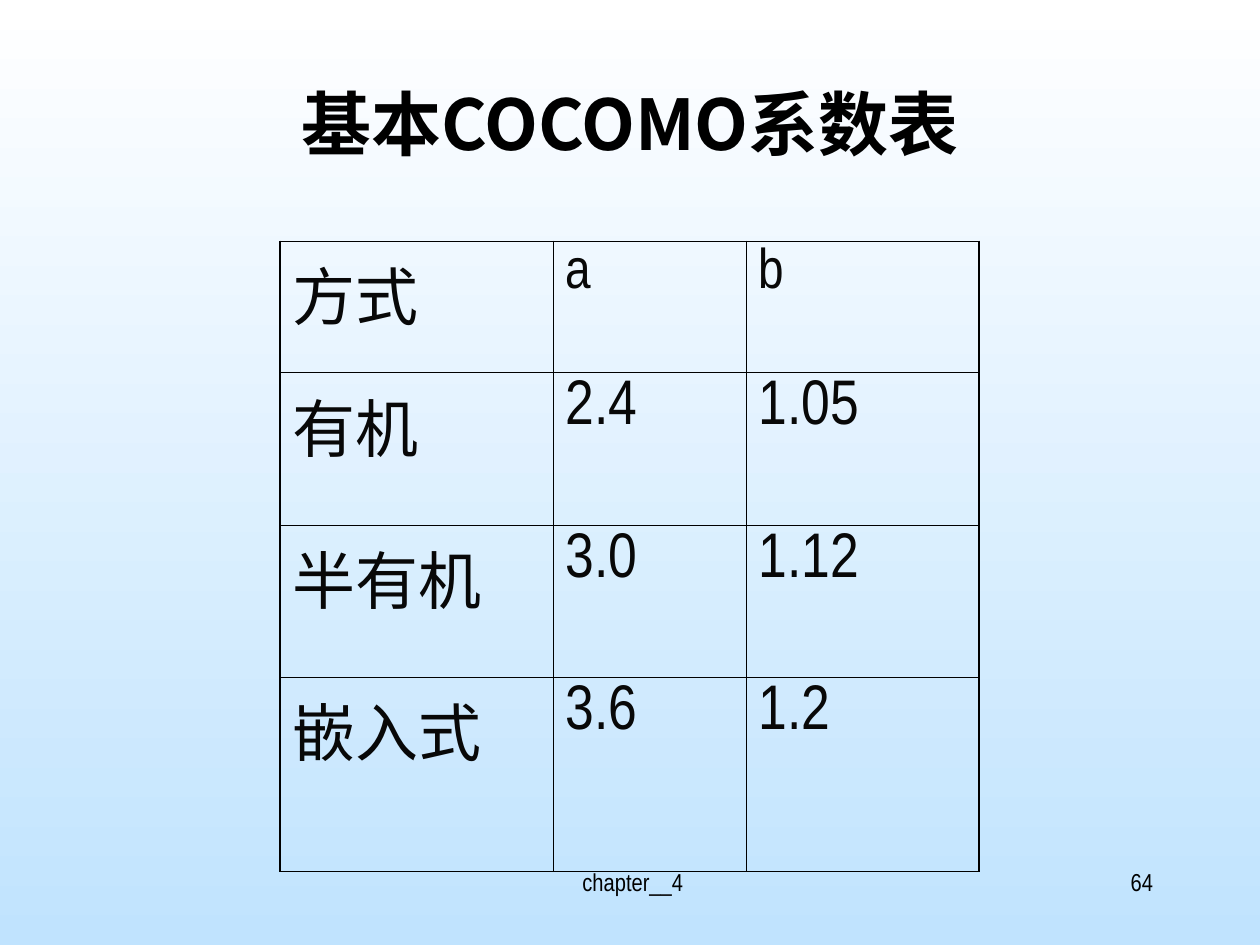
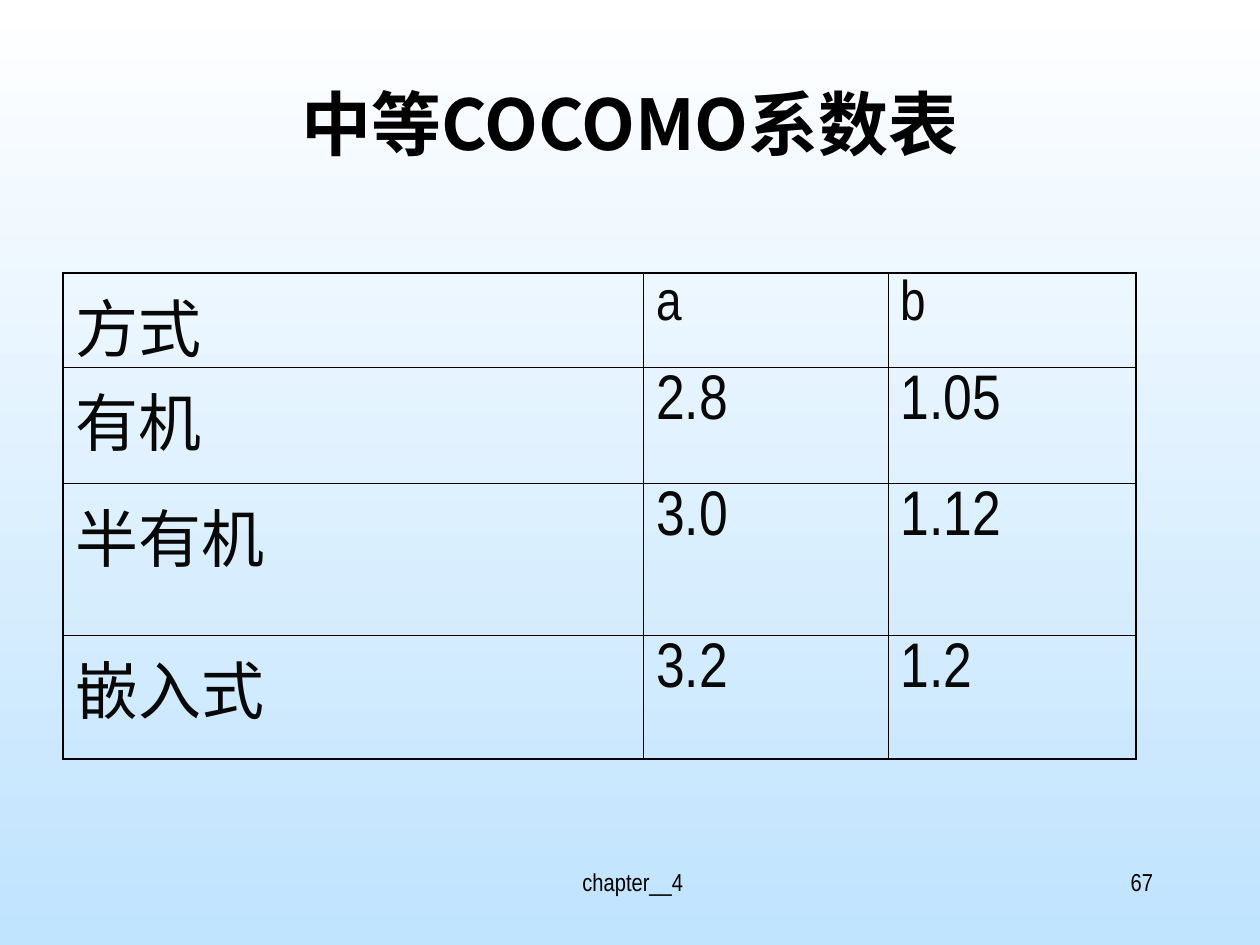
from lxml import etree
from pptx import Presentation
from pptx.dml.color import RGBColor
from pptx.enum.text import MSO_ANCHOR, PP_ALIGN
from pptx.oxml.ns import qn
from pptx.util import Inches, Pt

LEFT, CENTER, RIGHT = PP_ALIGN.LEFT, PP_ALIGN.CENTER, PP_ALIGN.RIGHT
TOP = MSO_ANCHOR.TOP

# Shared style
BLACK, INK, SKY, WHITE = "000000", "080808", "C0E3FE", "FFFFFF"
BODY_FONT, CHINESE_FONT = "Arial Narrow", "Noto Sans CJK SC"
OUTER_LINE, INNER_LINE = Pt(1.08), Pt(0.45)
TITLE_FORMAT = {"name": CHINESE_FONT, "size": Pt(40), "bold": True}
FOOTER_FORMAT = {"name": BODY_FONT, "size": Pt(14)}

# Grid of 120 columns by 90 rows
UNIT = Inches(10) / 120
TITLE_BOX = (9, 8, 102, 15)
CHAPTER_BOX = (41, 82, 38, 6)
NUMBER_BOX = (86, 82, 25, 6)

# Slide content: a and b coefficients for each mode
MODES = ["方式", "有机", "半有机", "嵌入式"]
B_VALUES = ["b", "1.05", "1.12", "1.2"]
SLIDES = [
    {"title": "基本COCOMO系数表", "number": "64", "a": ["a", "2.4", "3.0", "3.6"],
     "corner": (26.67, 23), "widths": (26, 18.4, 22.2), "heights": (12.5, 14.5, 14.5, 18.5)},
    {"title": "中等COCOMO系数表", "number": "67", "a": ["a", "2.8", "3.0", "3.2"],
     "corner": (6, 26), "widths": (55.3, 23.3, 23.6), "heights": (9, 11, 14.5, 11.8)},
]


def color(hex_string):
    return RGBColor.from_string(hex_string)


def write(text_frame, text, alignment, text_color, font_format):
    text_frame.word_wrap = True
    paragraph = text_frame.paragraphs[0]
    paragraph.alignment = alignment
    run = paragraph.add_run()
    run.text = text
    for name, value in font_format.items():
        setattr(run.font, name, value)
    run.font.color.rgb = color(text_color)
    east_asian = etree.SubElement(run.font._element, qn("a:ea"))
    east_asian.set("typeface", CHINESE_FONT)


presentation = Presentation()
presentation.slide_width, presentation.slide_height = Inches(10), Inches(7.5)

# Gradient background on the master
background = presentation.slide_master.background.fill
background.gradient()
background.gradient_angle = 270
for stop, stop_color in zip(background.gradient_stops, (WHITE, SKY)):
    stop.color.rgb = color(stop_color)

for content in SLIDES:
    slide = presentation.slides.add_slide(presentation.slide_layouts[5])

    # Title
    title = slide.shapes.title
    title.left, title.top, title.width, title.height = [int(n * UNIT) for n in TITLE_BOX]
    title.text_frame.vertical_anchor = TOP
    write(title.text_frame, content["title"], CENTER, BLACK, TITLE_FORMAT)
    title.text_frame.paragraphs[0].line_spacing = 0.9

    # Footer
    for box, text, alignment in ((CHAPTER_BOX, " chapter__4", CENTER),
                                 (NUMBER_BOX, content["number"], RIGHT)):
        footer = slide.shapes.add_textbox(*[int(n * UNIT) for n in box])
        write(footer.text_frame, text, alignment, BLACK, FOOTER_FORMAT)

    # Coefficient table
    rows = list(zip(MODES, content["a"], B_VALUES))
    widths, heights = content["widths"], content["heights"]
    frame = (*content["corner"], sum(widths), sum(heights))
    table = slide.shapes.add_table(len(rows), len(widths), *[int(n * UNIT) for n in frame]).table
    table.first_row = table.horz_banding = False
    for column, width in zip(table.columns, widths):
        column.width = int(width * UNIT)
    for row, height in zip(table.rows, heights):
        row.height = int(height * UNIT)

    for r, values in enumerate(rows):
        for c, value in enumerate(values):
            cell = table.cell(r, c)
            cell.fill.background()
            size = Pt(32) if value in ("a", "b") else Pt(36)
            write(cell.text_frame, value, LEFT, INK, {"name": BODY_FONT, "size": size})

            # Heavier lines around the outside
            outer_sides = {"a:lnL": c == 0, "a:lnR": c == len(widths) - 1,
                           "a:lnT": r == 0, "a:lnB": r == len(rows) - 1}
            properties = cell._tc.get_or_add_tcPr()
            for position, (side, is_outer) in enumerate(outer_sides.items()):
                line = etree.Element(qn(side), w=str(OUTER_LINE if is_outer else INNER_LINE))
                fill = etree.SubElement(line, qn("a:solidFill"))
                etree.SubElement(fill, qn("a:srgbClr"), val=BLACK)
                properties.insert(position, line)

presentation.save("out.pptx")
